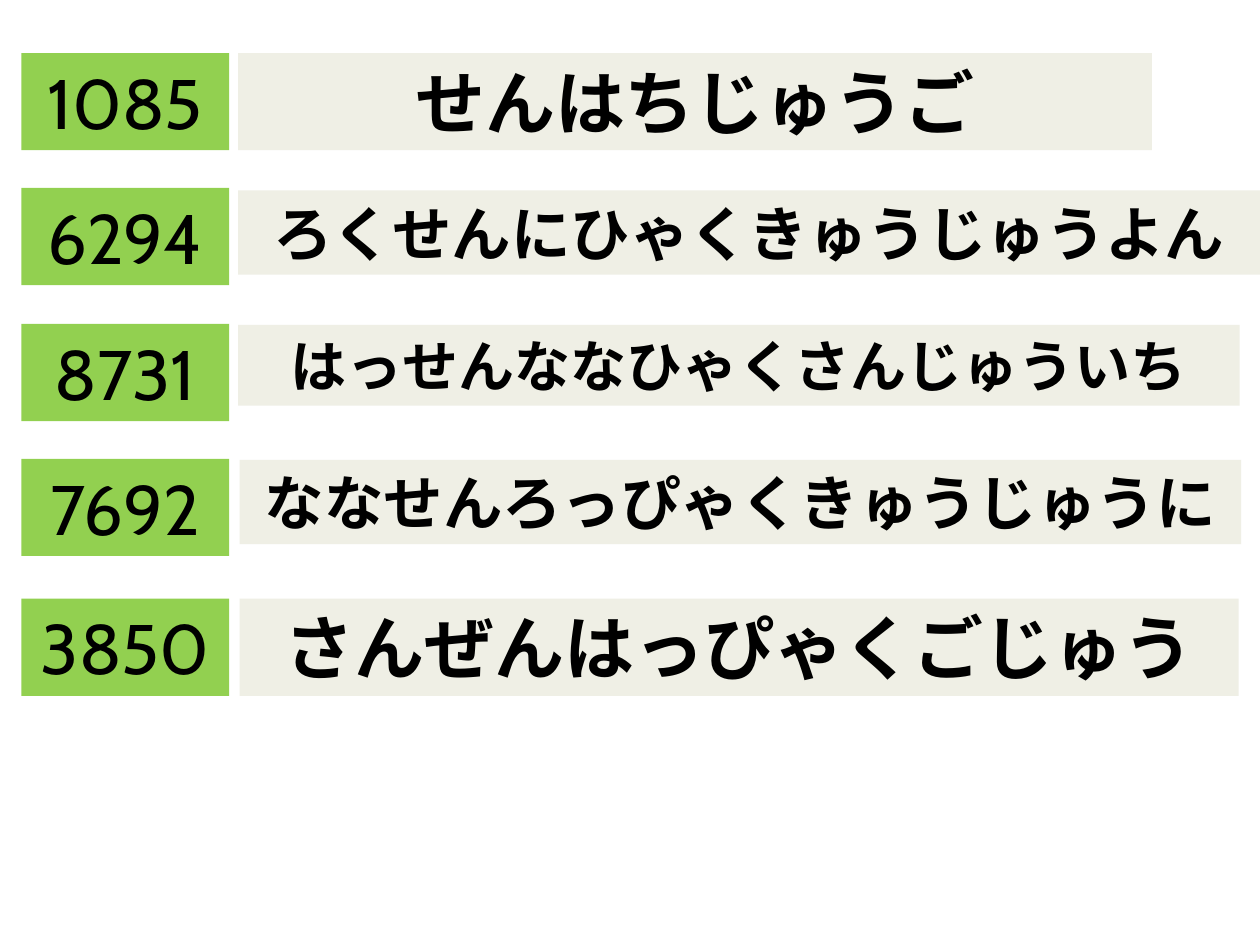
"""Build a slide that pairs four-digit numbers with their readings in hiragana."""
from dataclasses import dataclass

from lxml.etree import SubElement
from pptx import Presentation
from pptx.dml.color import RGBColor
from pptx.enum.shapes import MSO_SHAPE
from pptx.enum.text import MSO_ANCHOR, MSO_AUTO_SIZE, PP_ALIGN
from pptx.oxml.ns import qn
from pptx.util import Cm, Pt


@dataclass(frozen=True)
class Theme:
    number_fill: RGBColor = RGBColor(0x92, 0xD0, 0x50)
    reading_fill: RGBColor = RGBColor(0xEF, 0xEF, 0xE5)
    text: RGBColor = RGBColor(0, 0, 0)
    number_font: str = "Cabin"
    reading_font: str = "Noto Sans CJK JP"
    large: int = 40
    medium: int = 34
    small: int = 32


theme = Theme()
box_heights = {theme.large: 1.96, theme.medium: 1.7, theme.small: 1.63}


def add_box(slide, left, top, width, text, size, font_name, fill, bold):
    box = slide.shapes.add_shape(
        MSO_SHAPE.RECTANGLE, Cm(left), Cm(top), Cm(width), Cm(box_heights[size])
    )
    box.shadow.inherit = False
    box.fill.solid()
    box.fill.fore_color.rgb = fill
    box.line.fill.background()
    frame = box.text_frame
    frame.word_wrap = True
    frame.auto_size = MSO_AUTO_SIZE.SHAPE_TO_FIT_TEXT
    frame.vertical_anchor = MSO_ANCHOR.TOP
    para = frame.paragraphs[0]
    para.alignment = PP_ALIGN.CENTER
    span = para.add_run()
    span.text = text
    span.font.size = Pt(size)
    span.font.bold = bold
    span.font.color.rgb = theme.text
    span.font.name = font_name
    SubElement(span.font._element, qn("a:ea"), typeface=font_name)


deck = Presentation()
deck.slide_width, deck.slide_height = Cm(25.4), Cm(19.05)
page = deck.slides.add_slide(deck.slide_layouts[6])

rows = [
    ("1085", 1.07, "せんはちじゅうご", 4.8, 1.07, 18.42, theme.large),
    ("6294", 3.79, "ろくせんにひゃくきゅうじゅうよん", 4.8, 3.84, 20.6, theme.medium),
    ("8731", 6.53, "はっせんななひゃくさんじゅういち", 4.8, 6.55, 20.19, theme.small),
    ("7692", 9.25, "ななせんろっぴゃくきゅうじゅうに", 4.83, 9.27, 20.19, theme.medium),
    ("3850", 12.07, "さんぜんはっぴゃくごじゅう", 4.83, 12.07, 20.14, theme.large),
]
for number, number_top, reading, left, top, width, size in rows:
    add_box(page, 0.43, number_top, 4.19, number, theme.large,
            theme.number_font, theme.number_fill, False)
    add_box(page, left, top, width, reading, size,
            theme.reading_font, theme.reading_fill, True)

deck.save("out.pptx")
